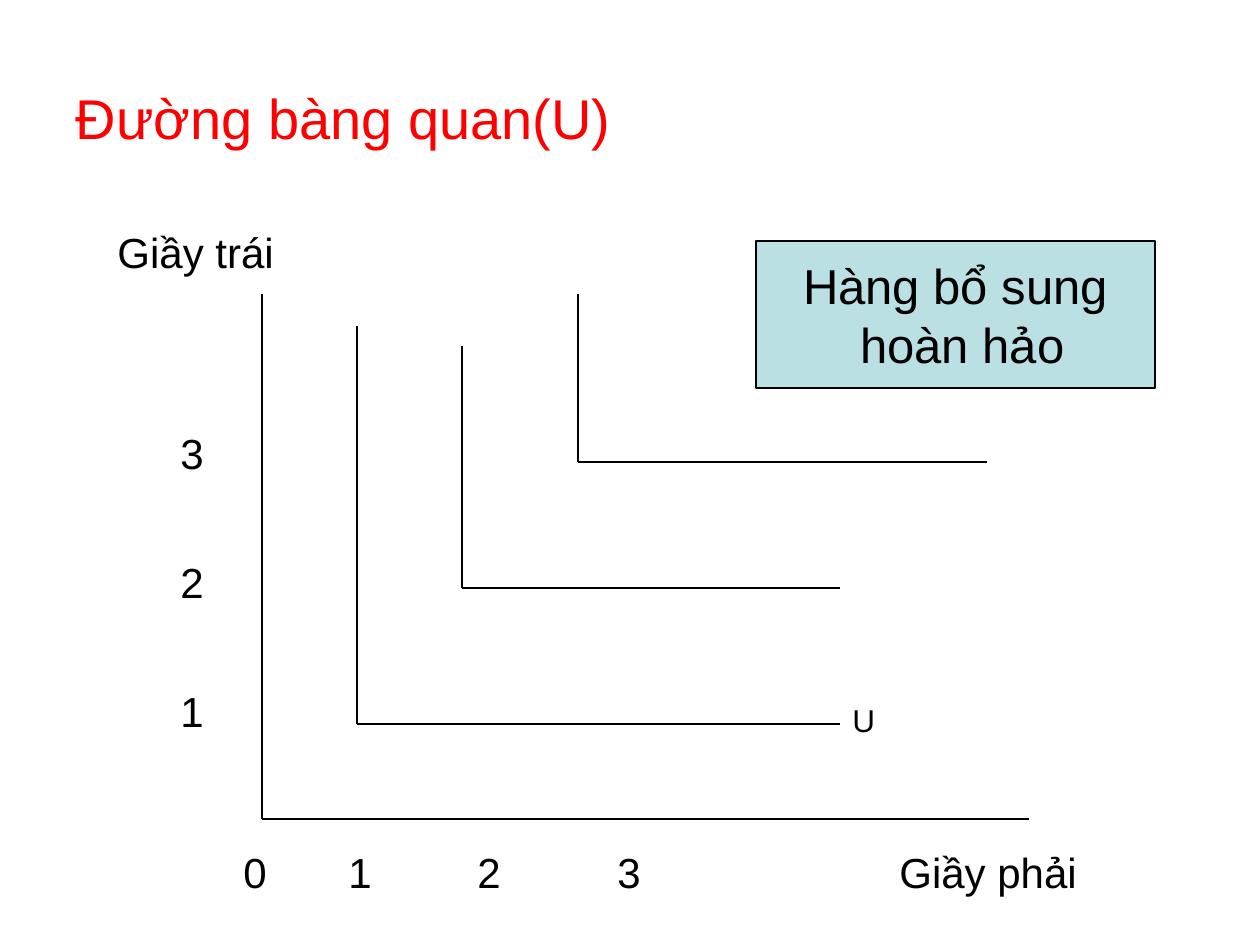
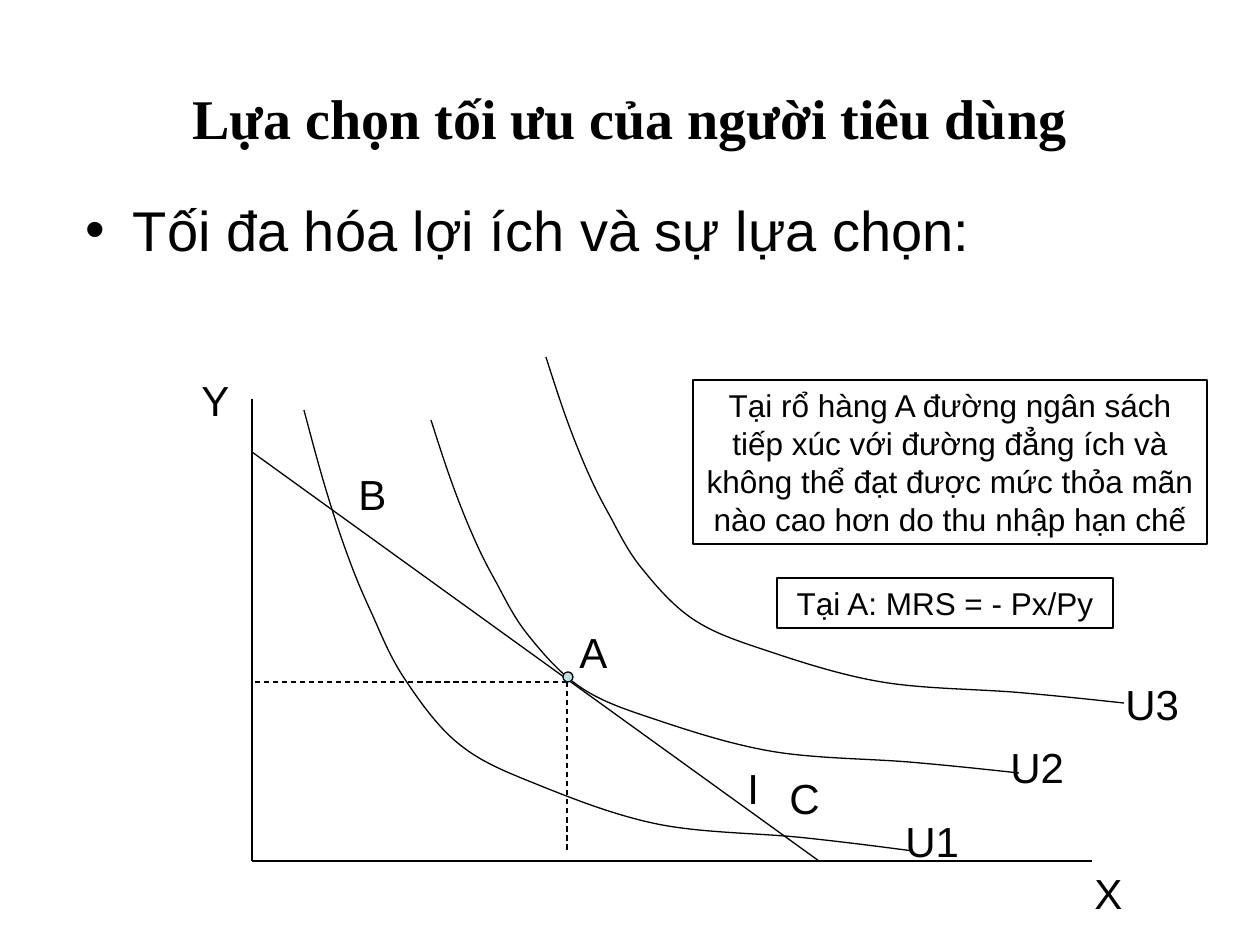
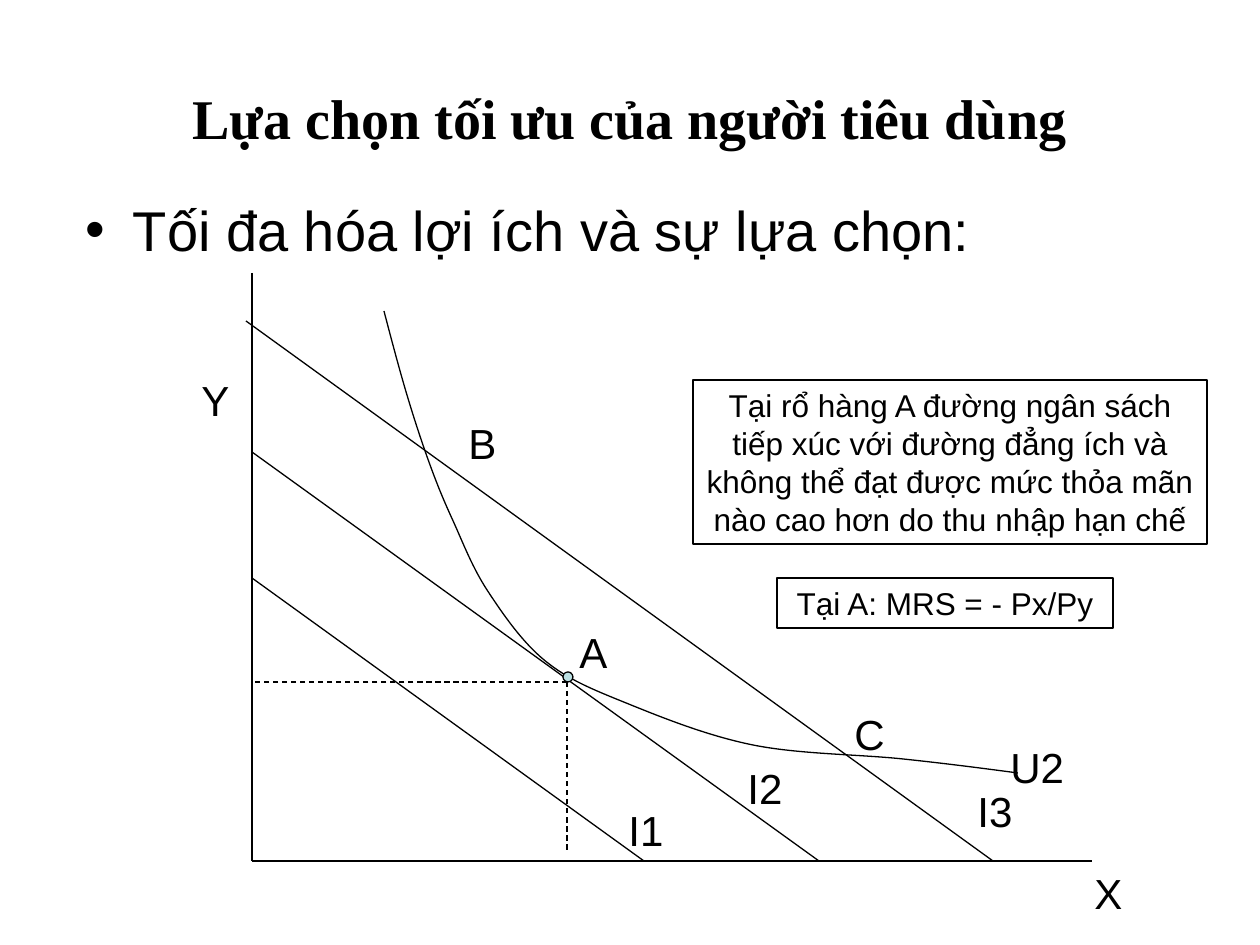
from lxml.etree import SubElement
from pptx import Presentation
from pptx.dml.color import RGBColor
from pptx.enum.dml import MSO_LINE
from pptx.enum.shapes import MSO_CONNECTOR, MSO_SHAPE
from pptx.enum.text import MSO_ANCHOR, MSO_AUTO_SIZE, PP_ALIGN
from pptx.oxml.ns import qn
from pptx.util import Inches, Pt

PX = 914400 // 126
COLORS = {"ink": "000000", "title": "FF0000", "pale": "BBE0E3"}
INK = RGBColor.from_string(COLORS["ink"])
PALE = RGBColor.from_string(COLORS["pale"])
TITLE_BOX = [n * PX for n in (63, 38, 1134, 158)]
BODY_BOX = [n * PX for n in (73, 189, 1134, 158)]
CURVE = [(0, 0), (2, 6), (4, 11), (6, 15), (9, 20), (14, 25), (21, 28), (32, 31), (45, 32), (55, 33)]


def write(shape, text, size=24, before=15, align=PP_ALIGN.LEFT, font="Arial", color="ink", bold=False):
    frame = shape.text_frame
    frame.text = text
    frame.word_wrap = True
    for paragraph in frame.paragraphs:
        paragraph.alignment = align
        paragraph.space_before = Pt(before)
        paragraph.font.size = Pt(size)
        paragraph.font.name = font
        paragraph.font.bold = bold
        paragraph.font.color.rgb = RGBColor.from_string(COLORS[color])
    return frame


def draw_line(slide, x1, y1, x2, y2, dash=None):
    line = slide.shapes.add_connector(MSO_CONNECTOR.STRAIGHT, x1 * PX, y1 * PX, x2 * PX, y2 * PX)
    line.line.color.rgb = INK
    line.line.width = Pt(0.75)
    line.line.dash_style = dash
    SubElement(line._element.spPr, qn("a:effectLst"))


prs = Presentation()
prs.slide_width, prs.slide_height = Inches(10), Inches(7.5)

slide = prs.slides.add_slide(prs.slide_layouts[5])
title = slide.shapes.title
title.left, title.top, title.width, title.height = TITLE_BOX
write(title, "Đường bàng quan(U)", size=32, before=0, color="title")

for corner_x, corner_y, top, right in [
    (262, 819, 294, 1029),
    (357, 724, 326, 840),
    (462, 588, 346, 840),
    (578, 462, 294, 987),
]:
    draw_line(slide, corner_x, top, corner_x, corner_y)
    draw_line(slide, corner_x, corner_y, right, corner_y)

axis_frames = []
for text, size, before, box in [
    ("0\t1\t2\t3\tGiầy phải", 24, 15, (231, 840, 882, 63)),
    ("3\n2\n1", 24, 45, (168, 421, 53, 318)),
    ("Giầy trái", 24, 15, (105, 220, 273, 63)),
    ("U", 18, 11.2, (840, 695, 84, 50)),
]:
    label = slide.shapes.add_textbox(*[n * PX for n in box])
    axis_frames.append(write(label, text, size, before))
axis_frames[1].paragraphs[0].space_before = Pt(15)

tick_properties = axis_frames[0].paragraphs[0]._p.get_or_add_pPr()
tick_stops = SubElement(tick_properties, qn("a:tabLst"))
for stop in (105, 234, 374, 656):
    SubElement(tick_stops, qn("a:tab"), pos=str(stop * PX), algn="l")
tick_properties.find(qn("a:defRPr")).addprevious(tick_stops)

complements = slide.shapes.add_shape(MSO_SHAPE.RECTANGLE, *[n * PX for n in (756, 241, 399, 147)])
complements.shadow.inherit = False
complements.fill.solid()
complements.fill.fore_color.rgb = PALE
complements.line.color.rgb = INK
complements.line.width = Pt(0.75)
frame = write(complements, "Hàng bổ sung\n hoàn hảo", size=28, before=0, align=PP_ALIGN.CENTER)
frame.word_wrap = False
frame.vertical_anchor = MSO_ANCHOR.MIDDLE

NOTES = [
    (
        "Tại rổ hàng A đường ngân sách tiếp xúc với đường đẳng ích và "
        "không thể đạt được mức thỏa mãn nào cao hơn do thu nhập hạn chế",
        (693, 380, 514, 164),
    ),
    ("Tại A: MRS = - Px/Py", (777, 578, 336, 50)),
]
SHARED_LABELS = [("A", 567, 620), ("Y", 189, 368), ("X", 1082, 861), ("U2", 998, 735)]
CHOICES = [
    {
        "axis_top": 399,
        "budgets": [(252, 452, 819, 861)],
        "curves": [(431, 420, 588, 353), (304, 410, 609, 441), (546, 357, 578, 346)],
        "labels": [("I", 735, 756), ("U1", 893, 809), ("U3", 1113, 672), ("B", 346, 462), ("C", 777, 766)],
    },
    {
        "axis_top": 273,
        "budgets": [(252, 452, 819, 861), (246, 321, 993, 861), (252, 578, 644, 861)],
        "curves": [(384, 311, 634, 462)],
        "labels": [("I2", 735, 756), ("B", 456, 411), ("C", 842, 702), ("I3", 965, 779), ("I1", 616, 798)],
    },
]

for choice in CHOICES:
    slide = prs.slides.add_slide(prs.slide_layouts[1])
    title, body = slide.shapes.title, slide.placeholders[1]
    title.left, title.top, title.width, title.height = TITLE_BOX
    write(title, "Lựa chọn tối ưu của người tiêu dùng", size=32, before=0,
          align=PP_ALIGN.CENTER, font="Times New Roman", bold=True)
    body.left, body.top, body.width, body.height = BODY_BOX
    write(body, "Tối đa hóa lợi ích và sự lựa chọn:", size=32, before=8)

    draw_line(slide, 252, choice["axis_top"], 252, 861)
    draw_line(slide, 252, 861, 1092, 861)
    for budget in choice["budgets"]:
        draw_line(slide, *budget)

    for left, top, width, height in choice["curves"]:
        knots = [((left + x * width / 55) * PX, (top + y * height / 33) * PX) for x, y in CURVE]
        inner = [
            ((after[0] - prior[0]) / 6, (after[1] - prior[1]) / 6)
            for prior, after in zip(knots, knots[2:])
        ]
        first = [(knots[1][i] - inner[0][i] - knots[0][i]) / 2 for i in (0, 1)]
        last = [(knots[-1][i] - inner[-1][i] - knots[-2][i]) / 2 for i in (0, 1)]
        slopes = [first, *inner, last]
        points = []
        for start, end, leave, arrive in zip(knots, knots[1:], slopes, slopes[1:]):
            points += [
                (start[0] + leave[0], start[1] + leave[1]),
                (end[0] - arrive[0], end[1] - arrive[1]),
                end,
            ]
        builder = slide.shapes.build_freeform(*knots[0])
        builder.add_line_segments(points, close=False)
        curve = builder.convert_to_shape()
        curve.shadow.inherit = False
        curve.fill.background()
        curve.line.color.rgb = INK
        curve.line.width = Pt(0.75)
        outline = curve._element.find(".//" + qn("a:path"))
        segments = outline.findall(qn("a:lnTo"))
        for i in range(0, len(segments), 3):
            bezier = SubElement(outline, qn("a:cubicBezTo"))
            for segment in segments[i:i + 3]:
                bezier.append(segment[0])
                outline.remove(segment)

    draw_line(slide, 567, 682, 567, 850, MSO_LINE.DASH)
    draw_line(slide, 567, 682, 252, 682, MSO_LINE.DASH)
    optimum = slide.shapes.add_shape(MSO_SHAPE.OVAL, *[n * PX for n in (563, 672, 10, 10)])
    optimum.shadow.inherit = False
    optimum.fill.solid()
    optimum.fill.fore_color.rgb = PALE
    optimum.line.color.rgb = INK
    optimum.line.width = Pt(0.75)

    for text, box in NOTES:
        note = slide.shapes.add_shape(MSO_SHAPE.RECTANGLE, *[n * PX for n in box])
        note.shadow.inherit = False
        note.fill.background()
        note.line.color.rgb = INK
        note.line.width = Pt(0.75)
        frame = write(note, text, size=18, before=11.2, align=PP_ALIGN.CENTER)
        frame.vertical_anchor = MSO_ANCHOR.TOP
        frame.auto_size = MSO_AUTO_SIZE.SHAPE_TO_FIT_TEXT

    for text, left, top in SHARED_LABELS + choice["labels"]:
        write(slide.shapes.add_textbox(left * PX, top * PX, 84 * PX, 63 * PX), text)

prs.save("out.pptx")
